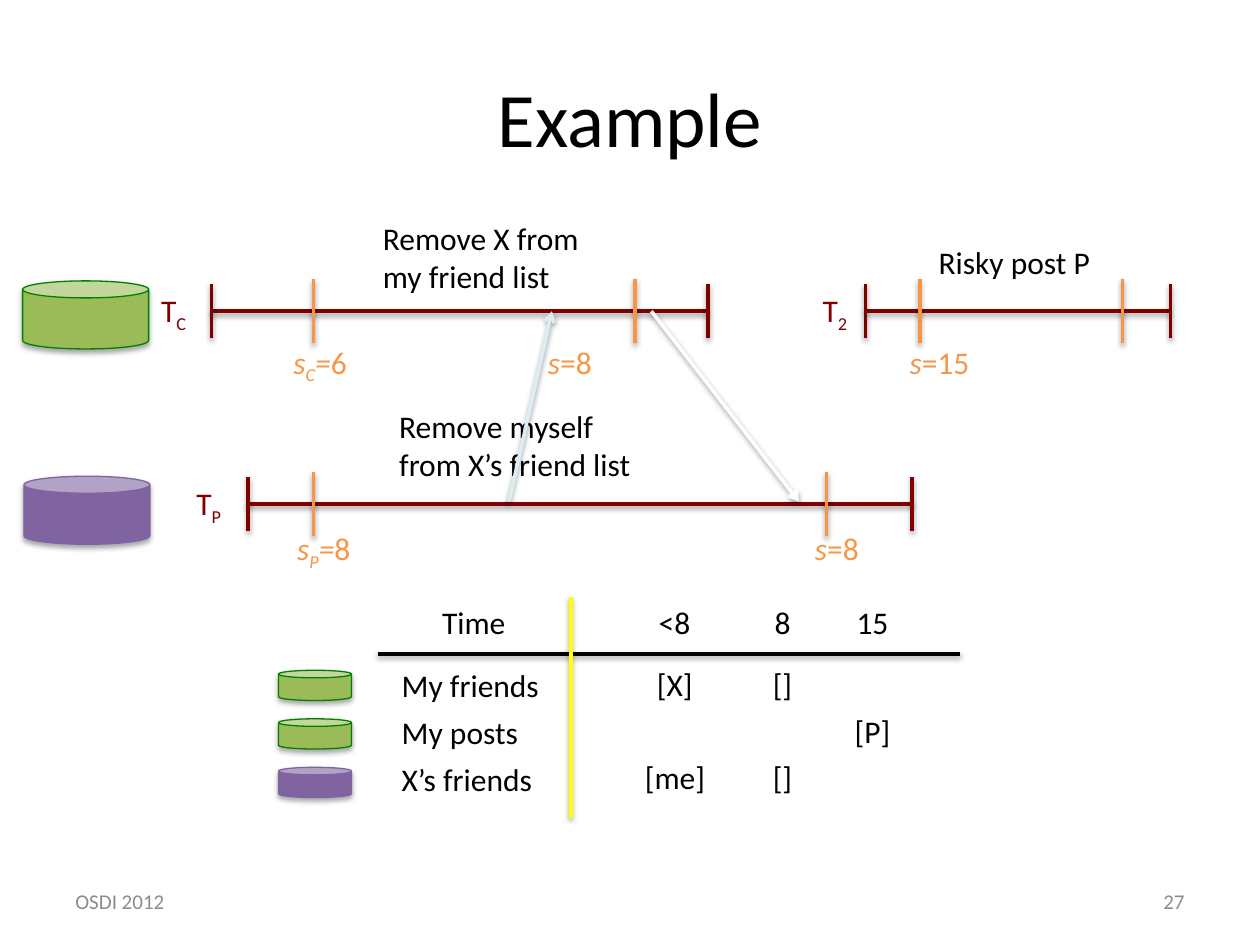
import pptx
import pptx.util
import pptx.dml.color
import pptx.enum.shapes
import pptx.enum.text
import pptx.oxml
import pptx.oxml.ns
from dataclasses import dataclass

ANCHOR = pptx.enum.text.MSO_ANCHOR
ALIGN = pptx.enum.text.PP_ALIGN


@dataclass(frozen=True)
class Theme:
    font: str = "Calibri"
    title: int = 44
    body: int = 18
    small: int = 12
    line: float = 2
    outline: float = 0.75
    black: str = "000000"
    grey: str = "8C8C8C"
    maroon: str = "800000"
    orange: str = "F79646"
    green: str = "9BBB59"
    dark_green: str = "008000"
    purple: str = "8064A2"
    yellow: str = "FFFF00"
    ice: str = "DBEEF4"
    white: str = "FFFFFF"


THEME = Theme()
CLIENT_ROW, PEER_ROW = 24.7, 40  # grid rows of the two time axes
TEXT_H = 4


def grid(n):
    """Columns and rows are a tenth of an inch: 100 by 75 on the slide."""
    return pptx.util.Inches(round(n / 10, 3))


def rgb(color):
    return pptx.dml.color.RGBColor.from_string(color)


def set_font(font, size, color):
    font.name, font.size = THEME.font, pptx.util.Pt(size)
    font.color.rgb = rgb(color)


def add_shadow(sp, alpha, distance):
    """Soft shadow straight below the shape."""
    xml = (
        f'<a:effectLst {pptx.oxml.ns.nsdecls("a")}>'
        f'<a:outerShdw blurRad="{pptx.util.Pt(3.1)}" dist="{pptx.util.Pt(distance)}" '
        f'dir="5400000" rotWithShape="0"><a:srgbClr val="{THEME.black}">'
        f'<a:alpha val="{alpha * 1000}"/></a:srgbClr></a:outerShdw></a:effectLst>'
    )
    sp._element.spPr.append(pptx.oxml.parse_xml(xml))


def add_line(shapes, start, end, color, arrow=False):
    line = shapes.add_connector(
        pptx.enum.shapes.MSO_CONNECTOR.STRAIGHT, *map(grid, (*start, *end)))
    line.line.color.rgb = rgb(color)
    line.line.width = pptx.util.Pt(THEME.line)
    if arrow:
        line.line._get_or_add_ln().append(pptx.oxml.parse_xml(
            f'<a:tailEnd {pptx.oxml.ns.nsdecls("a")} type="arrow"/>'))
    add_shadow(line, 38, 1.6)


def add_text(s, x, y, w, runs, color=THEME.black, h=TEXT_H, wrap=False,
             size=THEME.body, align=None, anchor=None):
    """Runs are (text, style) pairs; in a style, i is italic and _ subscript."""
    box = s.shapes.add_textbox(*map(grid, (x, y, w, h)))
    tf = box.text_frame
    tf.word_wrap = wrap
    if anchor is not None:
        tf.vertical_anchor = anchor
    else:
        tf.auto_size = pptx.enum.text.MSO_AUTO_SIZE.SHAPE_TO_FIT_TEXT
    p = tf.paragraphs[0]
    set_font(p.font, size, color)
    if align is not None:
        p.alignment = align
    for text, style in [(runs, "")] if isinstance(runs, str) else runs:
        r = p.add_run()
        r.text = text
        set_font(r.font, size, color)
        if "i" in style:
            r.font.italic = True
        if "_" in style:
            r._r.get_or_add_rPr().set("baseline", "-25000")


def add_can(s, x, y, w, h, fill, outline):
    can = s.shapes.add_shape(
        pptx.enum.shapes.MSO_SHAPE.CAN, *map(grid, (x, y, w, h)))
    can.fill.solid()
    can.fill.fore_color.rgb = rgb(fill)
    can.line.color.rgb = rgb(outline)
    can.line.width = pptx.util.Pt(THEME.outline)
    add_shadow(can, 35, 1.8)


def add_timeline(s, left, right, row):
    """A horizontal axis closed by a tick at each end."""
    group = s.shapes.add_group_shape().shapes
    add_line(group, (left, row), (right, row), THEME.maroon)
    for x in (left + 0.1, right):
        add_line(group, (x, row - 2.15), (x, row + 2.15), THEME.maroon)


def add_mark(s, x, row):
    add_line(s.shapes, (x, row + 2.55), (x, row - 2.55), THEME.orange)


def add_title_and_footer(s):
    title = s.shapes.title
    title.left, title.top, title.width, title.height = map(grid, (5, 3, 90, 12.5))
    title.text_frame.text = "Example"
    title.text_frame.vertical_anchor = ANCHOR.MIDDLE
    p = title.text_frame.paragraphs[0]
    p.alignment = ALIGN.CENTER
    set_font(p.font, THEME.title, THEME.black)
    for x, text, align in ((5, "OSDI 2012", ALIGN.LEFT), (71.7, "27", ALIGN.RIGHT)):
        add_text(s, x, 69.5, 23.3, text, THEME.grey, wrap=True,
                 size=THEME.small, align=align, anchor=ANCHOR.MIDDLE)


def add_timelines(s):
    # Operations above the axes
    add_text(s, 29.4, 16.9, 17.9, "Remove X from my friend list", h=7.1, wrap=True)
    add_text(s, 30.7, 31.8, 21, "Remove myself from X’s friend list", h=7.1, wrap=True)
    add_text(s, 73.5, 18.8, 14.2, "Risky post P")

    # Data stores
    add_can(s, 1.8, 22.3, 10, 5.4, THEME.green, THEME.dark_green)
    add_can(s, 1.9, 37.8, 10, 5.4, THEME.purple, THEME.purple)

    # Axes with their names
    for left, right, row, name_x, name_w, name in (
            (19.6, 72.4, PEER_ROW, 14.6, 6.1, "P"),
            (16.7, 56.2, CLIENT_ROW, 11.8, 6.1, "C"),
            (68.6, 92.9, CLIENT_ROW, 64.3, 5, "2")):
        add_timeline(s, left, right, row)
        add_text(s, name_x, row - 2.1, name_w, [("T", ""), (name, "_")],
                 THEME.maroon, wrap=True)

    # Messages between the axes
    add_line(s.shapes, (40.4, 39.8), (43.8, CLIENT_ROW), THEME.ice, arrow=True)
    add_line(s.shapes, (51.7, CLIENT_ROW), (63.4, 39.8), THEME.white, arrow=True)

    # Timestamps
    for row, marks in ((CLIENT_ROW, (24.9, 50.4, 73, 89.1)), (PEER_ROW, (24.9, 65.6))):
        for x in marks:
            add_mark(s, x, row)
    for x, y, w, sub, value in (
            (22.3, 26.7, 6.6, "C", "6"), (22.6, 41.5, 6.6, "P", "8")):
        add_text(s, x, y, w, [("s", "i"), (sub, "i_"), ("=", "i"), (value, "")],
                 THEME.orange)
    for x, y, w, value in (
            (42.5, 26.7, 5.7, "=8"), (71.2, 26.7, 7.8, "=15"), (63.7, 41.5, 5.7, "=8")):
        add_text(s, x, y, w, [("s", "i"), (value, "")], THEME.orange)


def add_history(s):
    """Values of each list over time, with text centred on three columns."""
    header, rows = 47.4, (52.3, 56, 59.7)
    columns = (53.6, 62.15, 69.3)

    # Labels and stores
    add_text(s, 34.1, header, 7.1, "Time")
    green, purple = (THEME.green, THEME.dark_green), (THEME.purple, THEME.purple)
    for i, (label, w, colors) in enumerate((
            ("My friends", 13, green), ("My posts", 11.4, green),
            ("X’s friends", 12.7, purple))):
        add_text(s, 30.9, rows[i] + 0.1, w, label)
        add_can(s, 22.1, 53.2 + 3.85 * i, 5.8, 2.4, *colors)

    # Values: column, row, width, text
    for column, y, w, text in (
            (0, header, 4.6, "<8"), (1, header, 3.3, "8"), (2, header, 4.6, "15"),
            (0, rows[0], 4.9, "[X]"), (1, rows[0], 3.6, "[]"),
            (2, rows[1], 4.9, "[P]"),
            (0, rows[2], 6.8, "[me]"), (1, rows[2], 3.6, "[]")):
        add_text(s, columns[column] - w / 2, y, w, text)

    # Rules
    add_line(s.shapes, (30, 51.9), (76.2, 51.9), THEME.black)
    add_line(s.shapes, (45.3, header), (45.3, 64.9), THEME.yellow)


def main():
    prs = pptx.Presentation()
    prs.slide_width, prs.slide_height = grid(100), grid(75)
    s = prs.slides.add_slide(prs.slide_layouts.get_by_name("Title Only"))
    add_title_and_footer(s)
    add_timelines(s)
    add_history(s)
    prs.save("out.pptx")


if __name__ == "__main__":
    main()
